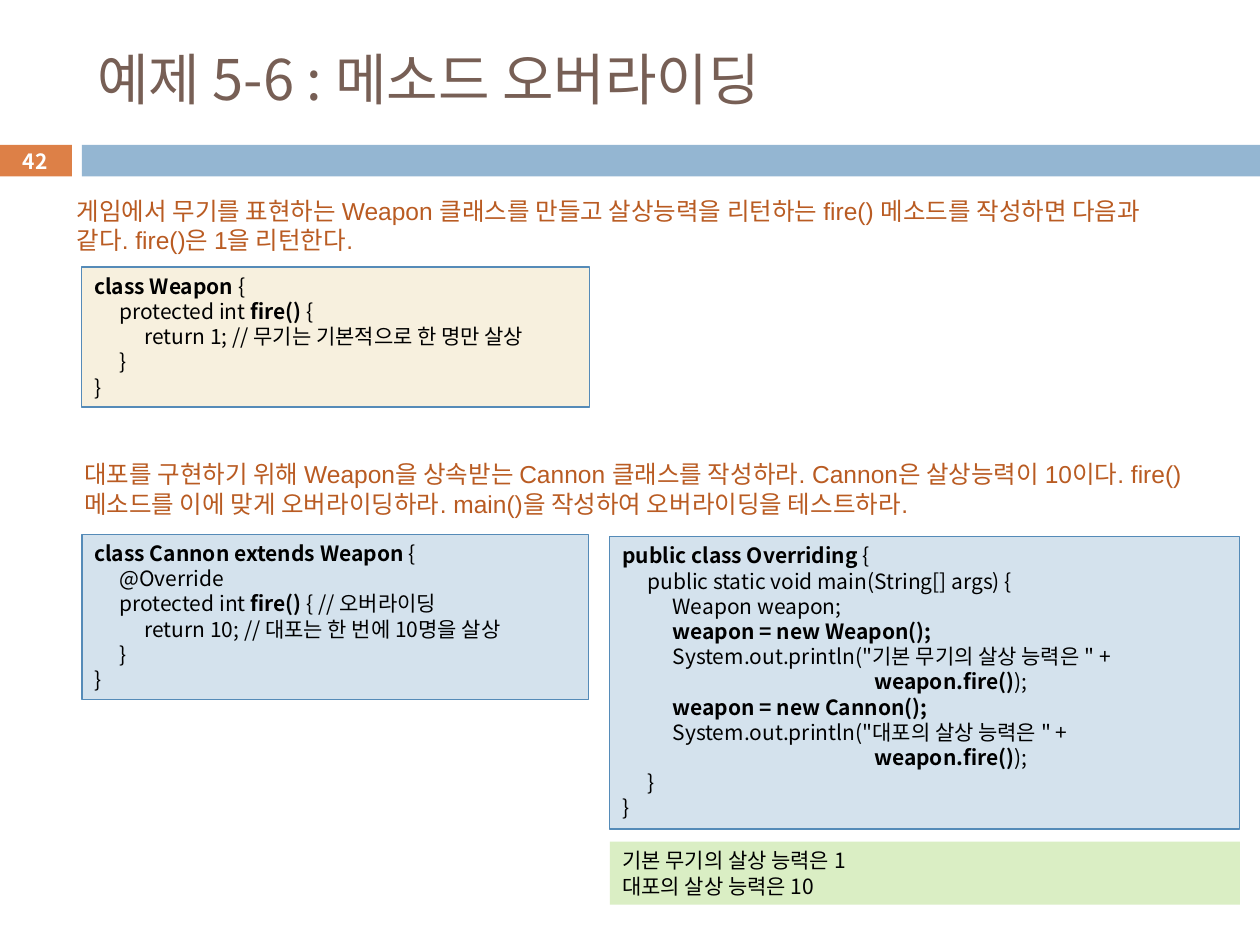
from lxml import etree
from pptx import Presentation
from pptx.dml.color import RGBColor
from pptx.enum.shapes import MSO_SHAPE
from pptx.enum.text import MSO_ANCHOR, PP_ALIGN
from pptx.oxml.ns import qn
from pptx.util import Inches, Pt

FONT = "Noto Sans CJK KR"
CREAM, BLUE, GREEN = "F7F0DE", "D4E2ED", "DAEEC4"
TAB = 0.2

WEAPON = """**class Weapon **{
\tprotected int **fire() **{
\t\treturn 1; // 무기는 기본적으로 한 명만 살상
\t}
}"""
CANNON = """**class Cannon extends Weapon **{
\t@Override
\tprotected int **fire() **{ // 오버라이딩
\t\treturn 10; // 대포는 한 번에 10명을 살상
\t}
}"""
OVERRIDING = """**public class Overriding **{
\tpublic static void main(String[] args) {
\t\tWeapon weapon;
\t\t**weapon = new Weapon();**
\t\tSystem.out.println("기본 무기의 살상 능력은 " +
\t\t\t\t\t\t\t\t\t\t**weapon.fire()**);
\t\t**weapon = new Cannon();**
\t\tSystem.out.println("대포의 살상 능력은 " +
\t\t\t\t\t\t\t\t\t\t**weapon.fire()**);
\t}
}"""
OUTPUT = "기본 무기의 살상 능력은 1\n대포의 살상 능력은 10"


def rgb(value):
    return RGBColor.from_string(value)


def inches(box):
    return [Inches(v) for v in box]


def style_run(r, size, color, bold=False, font=FONT):
    r.font.size, r.font.bold, r.font.name = Pt(size), bold, font
    r.font.color.rgb = rgb(color)
    ea = etree.SubElement(r.font._element, qn("a:ea"))
    ea.set("typeface", FONT)


def add_tabs(p, count):
    tabs = etree.SubElement(p._p.get_or_add_pPr(), qn("a:tabLst"))
    for i in range(1, count + 1):
        tab = etree.SubElement(tabs, qn("a:tab"))
        tab.set("pos", str(Inches(TAB * i)))
        tab.set("algn", "l")


def add_rect(s, box, fill, line=None):
    sp = s.shapes.add_shape(MSO_SHAPE.RECTANGLE, *inches(box))
    sp.shadow.inherit = False
    sp.fill.solid()
    sp.fill.fore_color.rgb = rgb(fill)
    if line:
        sp.line.color.rgb = rgb(line)
        sp.line.width = Pt(0.75)
    else:
        sp.line.fill.background()
    return sp


def add_title(s, box, text):
    sp = s.shapes.title
    sp.left, sp.top, sp.width, sp.height = inches(box)
    tf = sp.text_frame
    tf.text = text
    tf.vertical_anchor = MSO_ANCHOR.MIDDLE
    p = tf.paragraphs[0]
    p.alignment = PP_ALIGN.LEFT
    style_run(p.runs[0], 32, "775F55")


def add_band(s, top, number):
    tf = add_rect(s, (-0.01, top, 0.58, 0.25), "DD8047").text_frame
    add_rect(s, (0.65, top, 9.35, 0.25), "94B6D2")
    tf.margin_top = tf.margin_bottom = 0
    tf.vertical_anchor = MSO_ANCHOR.MIDDLE
    tf.text = number
    p = tf.paragraphs[0]
    p.alignment = PP_ALIGN.CENTER
    style_run(p.runs[0], 12, "FFFFFF", bold=True)


def add_task(s, box, text):
    tf = s.shapes.add_textbox(*inches(box)).text_frame
    tf.word_wrap = True
    tf.text = text
    p = tf.paragraphs[0]
    p.line_spacing = Pt(17)
    style_run(p.runs[0], 14, "B95B22", font="Arial")


def add_code(s, box, text, fill, line=None):
    """Each line is a paragraph; ** switches bold on and off."""
    tf = add_rect(s, box, fill, line).text_frame
    tf.word_wrap = True
    tf.vertical_anchor = MSO_ANCHOR.TOP
    for i, row in enumerate(text.split("\n")):
        p = tf.add_paragraph() if i else tf.paragraphs[0]
        p.alignment = PP_ALIGN.LEFT
        p.line_spacing = Pt(14.4)
        add_tabs(p, row.count("\t"))
        for j, part in enumerate(row.split("**")):
            if part:
                r = p.add_run()
                r.text = part
                style_run(r, 12, "000000", bold=j % 2 == 1)


def main():
    prs = Presentation()
    prs.slide_width, prs.slide_height = Inches(10), Inches(7.5)
    s = prs.slides.add_slide(prs.slide_layouts[5])

    # Heading
    add_band(s, 1.15, "42")
    add_title(s, (0.67, 0.25, 8.92, 0.74), "예제 5-6 : 메소드 오버라이딩")

    # Given class
    add_task(s, (0.51, 1.5, 8.98, 0.57),
             "게임에서 무기를 표현하는 Weapon 클래스를 만들고 살상능력을 리턴하는 "
             "fire() 메소드를 작성하면 다음과 같다. fire()은 1을 리턴한다.")
    add_code(s, (0.65, 2.12, 4.03, 1.11), WEAPON, CREAM, "558BB8")

    # Exercise, solution and output
    add_task(s, (0.57, 3.59, 9.01, 0.57),
             "대포를 구현하기 위해 Weapon을 상속받는 Cannon 클래스를 작성하라. "
             "Cannon은 살상능력이 10이다. fire() 메소드를 이에 맞게 오버라이딩하라. "
             "main()을 작성하여 오버라이딩을 테스트하라.")
    add_code(s, (0.65, 4.24, 4.02, 1.31), CANNON, BLUE, "558BB8")
    add_code(s, (4.84, 4.26, 5, 2.32), OVERRIDING, BLUE, "558BB8")
    add_code(s, (4.84, 6.68, 5, 0.5), OUTPUT, GREEN)

    prs.save("out.pptx")


if __name__ == "__main__":
    main()
